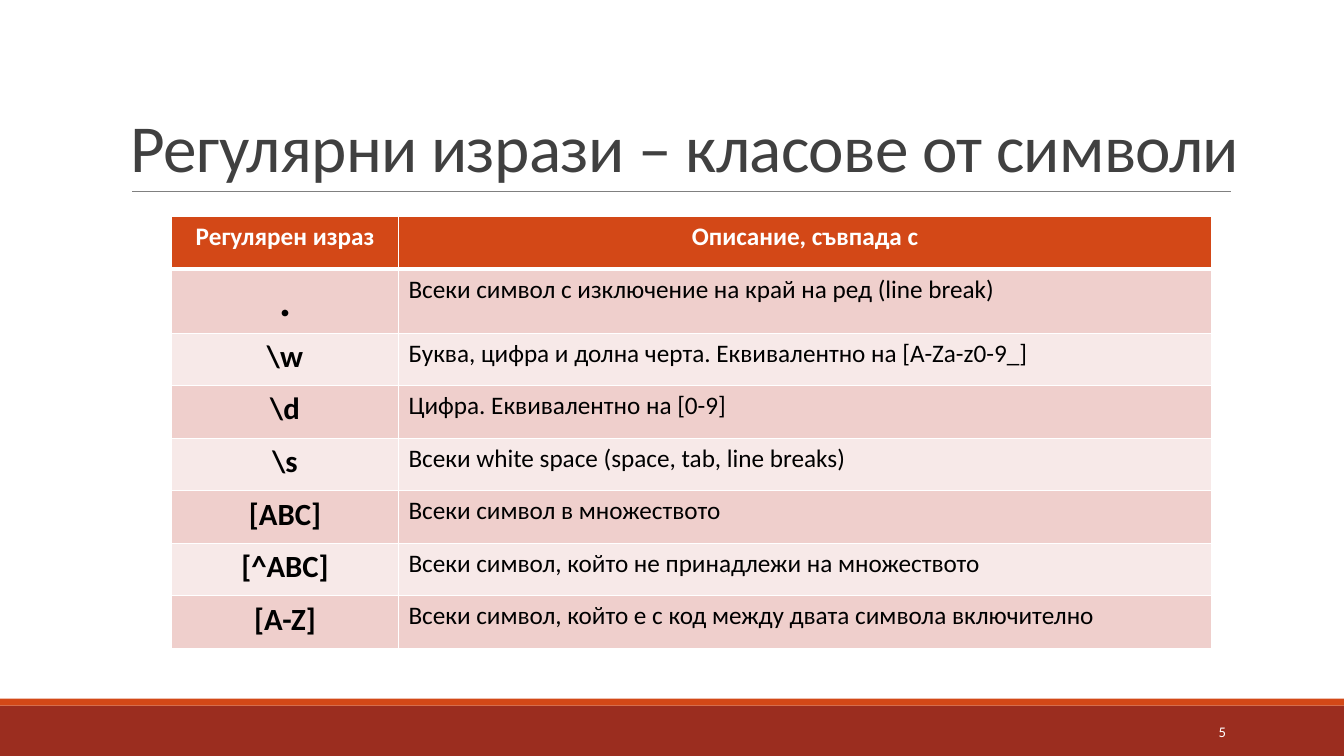
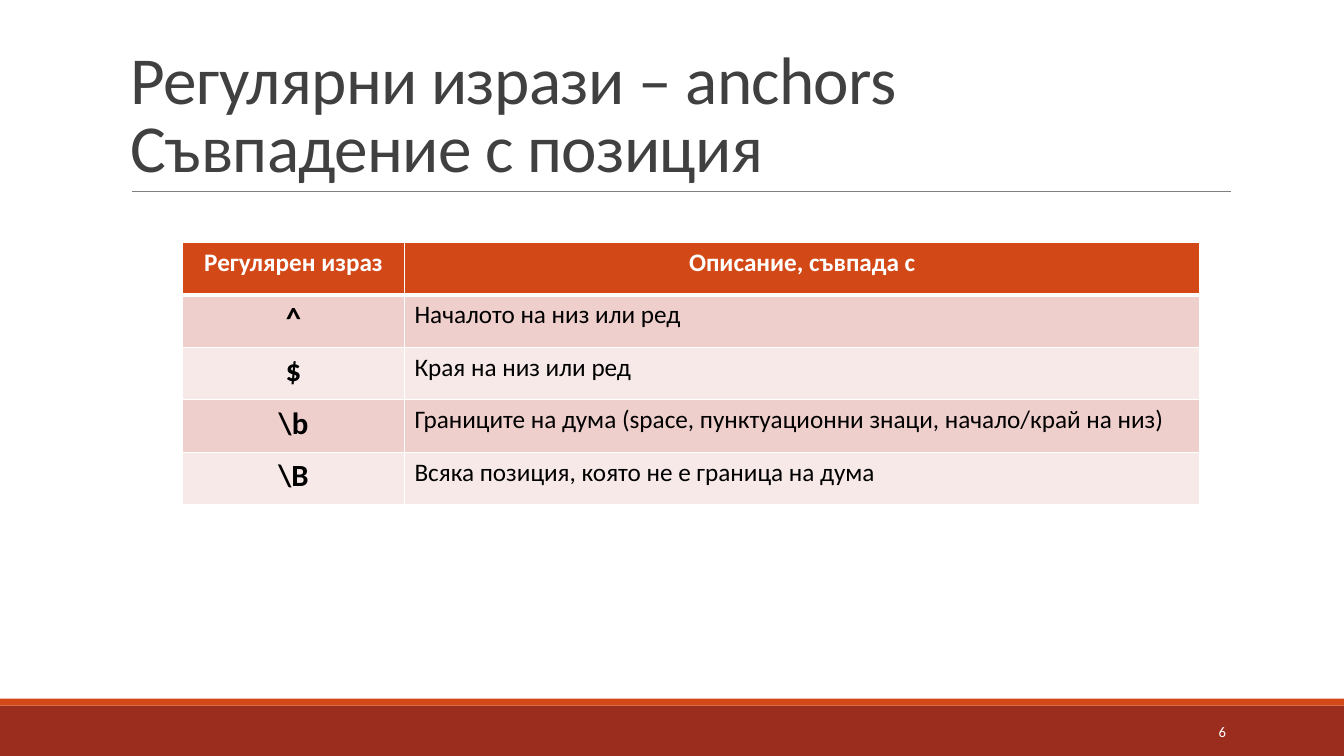
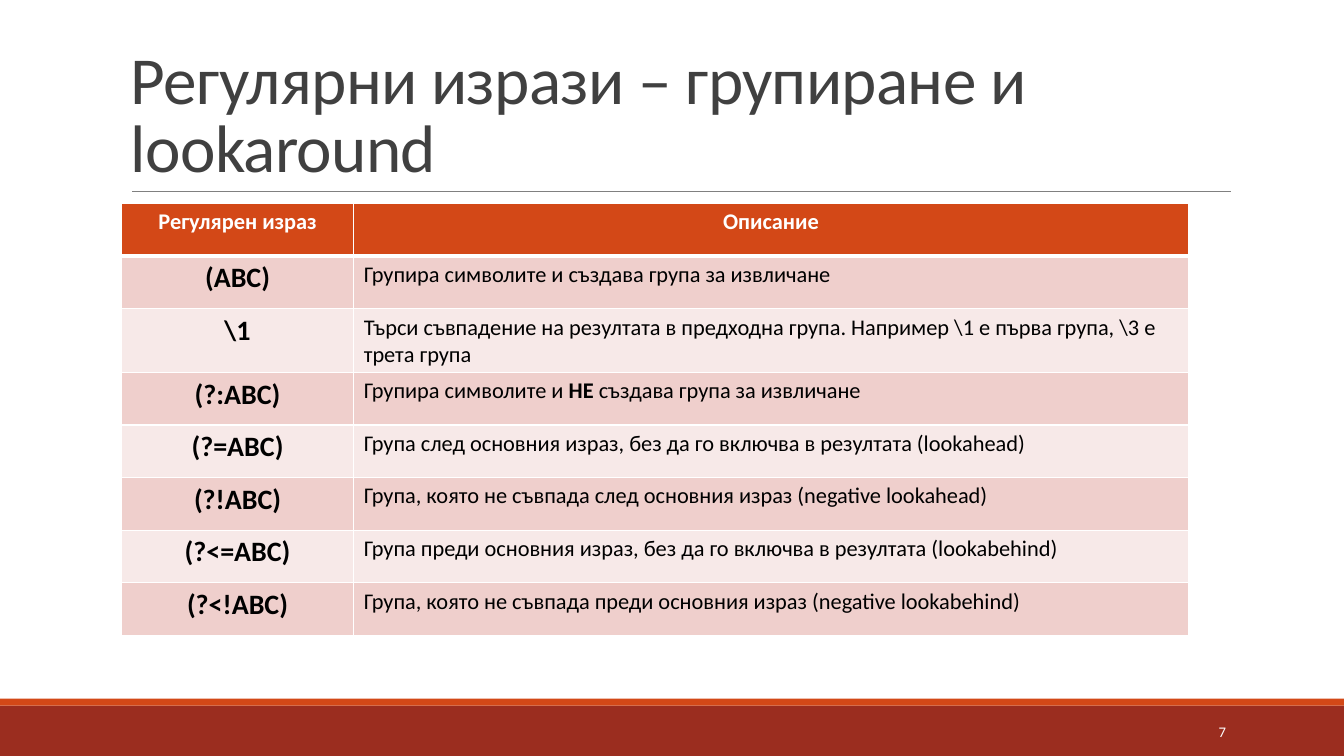
from lxml import etree
from pptx import Presentation
from pptx.dml.color import RGBColor
from pptx.enum import shapes, text
from pptx.oxml import ns
from pptx.util import Pt

COLORS = {
    "band": "9B2D1F",
    "accent": "D34817",
    "rule": "808080",
    "title": "404040",
    "white": "FFFFFF",
    "black": "000000",
    "odd_row": "EFCFCC",
    "even_row": "F7E9E8",
}
FONT = "Calibri"
WIDTH, HEIGHT = 960, 540
ROW_HEIGHT = 37.55


def color(name):
    return RGBColor.from_string(COLORS[name])


def write_text(frame, content, size, ink="black", bold=False, align="LEFT",
               line_spacing=None, tracking=None):
    """Write a string, or a list of (string, bold) pieces, as one paragraph."""
    paragraph = frame.paragraphs[0]
    paragraph.alignment = getattr(text.PP_ALIGN, align)
    if line_spacing:
        paragraph.line_spacing = line_spacing
    pieces = [(content, bold)] if isinstance(content, str) else content
    for piece, piece_bold in pieces:
        for index, line in enumerate(piece.split("\n")):
            if index:
                paragraph.add_line_break()
            run = paragraph.add_run()
            run.text = line
            run.font.name = FONT
            run.font.size = Pt(size)
            run.font.bold = piece_bold
            run.font.color.rgb = color(ink)
            if tracking:
                run.font._element.set("spc", str(round(tracking * 100)))


def set_borders(cell, top=1, bottom=1):
    """Draw white borders, with widths in points."""
    properties = cell._tc.get_or_add_tcPr()
    for side, width in (("L", 1), ("R", 1), ("T", top), ("B", bottom)):
        line = etree.SubElement(properties, ns.qn(f"a:ln{side}"), w=str(Pt(width)))
        fill = etree.SubElement(line, ns.qn("a:solidFill"))
        etree.SubElement(fill, ns.qn("a:srgbClr"), val=COLORS["white"])


class Deck:
    def __init__(self):
        self.presentation = Presentation()
        self.presentation.slide_width = Pt(WIDTH)
        self.presentation.slide_height = Pt(HEIGHT)
        self.slide = None

    def add_slide(self, title, number):
        layout = self.presentation.slide_layouts[6]
        self.slide = self.presentation.slides.add_slide(layout)
        # Footer bands and title rule
        self.band(504, 36, "band")
        self.band(499, 5, "accent")
        self.rule(94.5, 879, 136.6)
        # Title and slide number
        self.text_box(86.4, 22.5, 815, 114.2, title, anchor="BOTTOM", size=48,
                      ink="title", line_spacing=0.85, tracking=-0.5)
        self.text_box(779.8, 508.5, 103, 28.8, str(number), anchor="MIDDLE",
                      size=10.5, ink="white", align="RIGHT")

    def band(self, top, height, fill):
        shape = self.slide.shapes.add_shape(
            shapes.MSO_SHAPE.RECTANGLE, Pt(0), Pt(top), Pt(WIDTH), Pt(height))
        shape.shadow.inherit = False
        shape.fill.solid()
        shape.fill.fore_color.rgb = color(fill)
        shape.line.fill.background()

    def rule(self, left, right, top):
        connector = self.slide.shapes.add_connector(
            shapes.MSO_CONNECTOR.STRAIGHT, Pt(left), Pt(top), Pt(right), Pt(top))
        connector.line.color.rgb = color("rule")
        connector.line.width = Pt(0.5)
        etree.SubElement(connector._element.spPr, ns.qn("a:effectLst"))

    def text_box(self, left, top, width, height, content, anchor, **style):
        shape = self.slide.shapes.add_textbox(Pt(left), Pt(top), Pt(width), Pt(height))
        frame = shape.text_frame
        frame.word_wrap = True
        frame.vertical_anchor = getattr(text.MSO_ANCHOR, anchor)
        write_text(frame, content, **style)

    def table(self, left, top, widths, header, rows, size, symbol_size):
        frame = self.slide.shapes.add_table(
            len(rows) + 1, len(widths), Pt(left), Pt(top),
            Pt(sum(widths)), Pt(ROW_HEIGHT * (len(rows) + 1)))
        table = frame.table
        table.horz_banding = False
        for column, width in zip(table.columns, widths):
            column.width = Pt(width)
        for row in table.rows:
            row.height = Pt(ROW_HEIGHT)

        # Header row
        for index, label in enumerate(header):
            self.cell(table.cell(0, index), label, "accent", bottom=3,
                      size=size, ink="white", bold=True, align="CENTER")
        # Expression and description rows
        for index, (symbol, description) in enumerate(rows, 1):
            fill = "odd_row" if index % 2 else "even_row"
            top_width = 3 if index == 1 else 1
            # A lone dot is set larger so that it can be seen
            self.cell(table.cell(index, 0), symbol, fill, top=top_width,
                      size=32 if symbol == "." else symbol_size,
                      bold=True, align="CENTER")
            self.cell(table.cell(index, 1), description, fill, top=top_width, size=size)

    def cell(self, cell, content, fill, top=1, bottom=1, **style):
        set_borders(cell, top, bottom)
        cell.fill.solid()
        cell.fill.fore_color.rgb = color(fill)
        write_text(cell.text_frame, content, **style)


def main():
    deck = Deck()
    header = ("Регулярен израз", "Описание, съвпада с")

    # Character classes
    deck.add_slide("Регулярни изрази – класове от символи", 5)
    deck.table(122.6, 154.8, (162, 581), header, [
        (".", "Всеки символ с изключение на край на ред (line break)"),
        (r"\w", "Буква, цифра и долна черта. Еквивалентно на [A-Za-z0-9_]"),
        (r"\d", "Цифра. Еквивалентно на [0-9]"),
        (r"\s", "Всеки white space (space, tab, line breaks)"),
        ("[ABC]", "Всеки символ в множеството"),
        ("[^ABC]", "Всеки символ, който не принадлежи на множеството"),
        ("[A-Z]", "Всеки символ, който е с код между двата символа включително"),
    ], size=18, symbol_size=22)

    # Anchors
    deck.add_slide("Регулярни изрази – anchors\nСъвпадение с позиция", 6)
    deck.table(130.4, 173, (158.5, 568.3), header, [
        ("^", "Началото на низ или ред"),
        ("$", "Края на низ или ред"),
        (r"\b", "Границите на дума (space, пунктуационни знаци, начало/край на низ)"),
        (r"\B", "Всяка позиция, която не е граница на дума"),
    ], size=18, symbol_size=22)

    # Groups and lookaround
    deck.add_slide("Регулярни изрази – групиране и lookaround", 7)
    deck.table(86.7, 145.4, (166, 596), (header[0], "Описание"), [
        ("(ABC)", "Групира символите и създава група за извличане"),
        (r"\1", "Търси съвпадение на резултата в предходна група. "
                r"Например \1 е първа група, \3 е трета група"),
        ("(?:ABC)", [("Групира символите и ", False), ("НЕ ", True),
                     ("създава група за извличане", False)]),
        ("(?=ABC)", "Група след основния израз, без да го включва в резултата (lookahead)"),
        ("(?!ABC)", "Група, която не съвпада след основния израз (negative lookahead)"),
        ("(?<=ABC)", "Група преди основния израз, без да го включва в резултата (lookabehind)"),
        ("(?<!ABC)", "Група, която не съвпада преди основния израз (negative lookabehind)"),
    ], size=16, symbol_size=20)

    deck.presentation.save("out.pptx")


if __name__ == "__main__":
    main()
